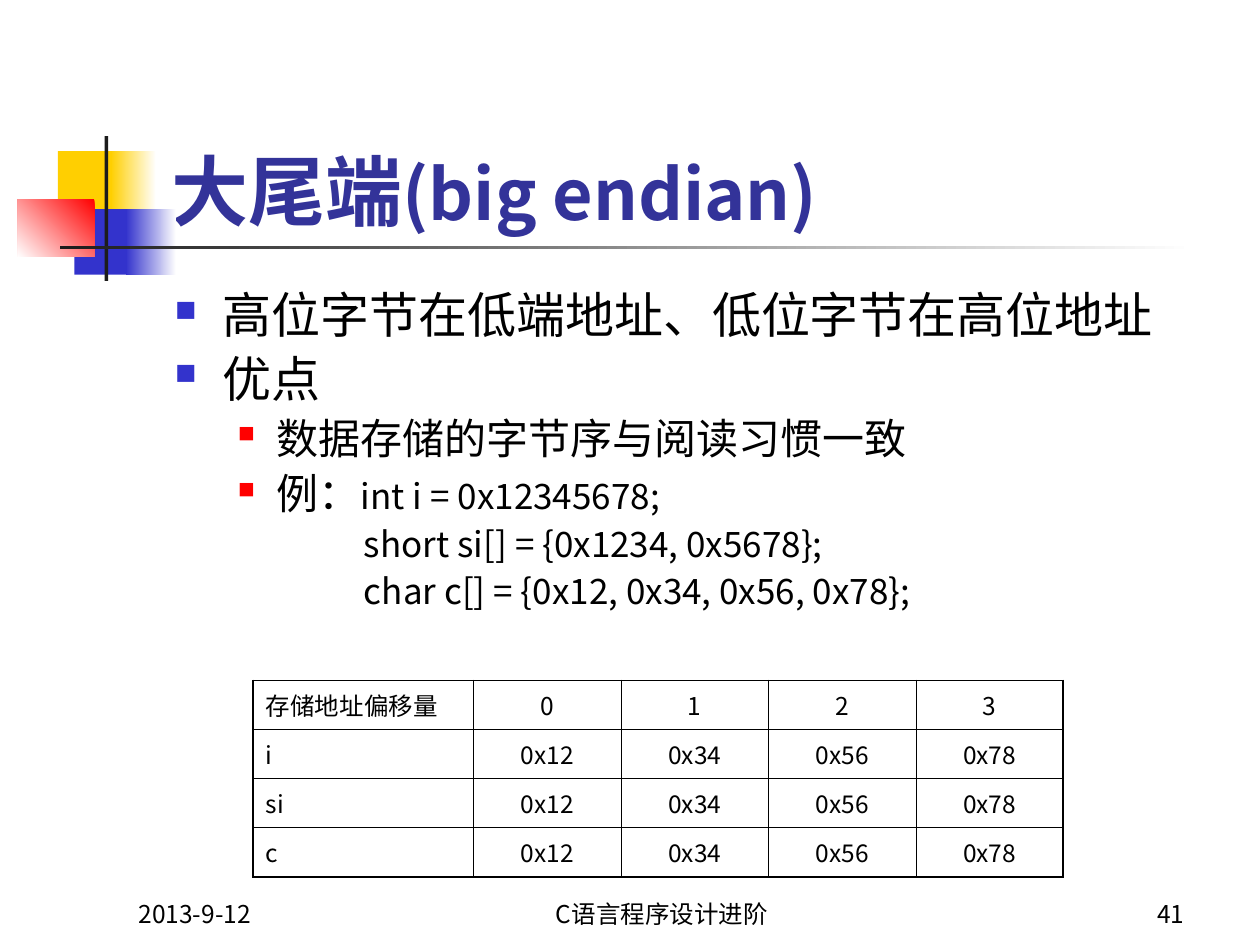
from lxml import etree
from pptx import Presentation
from pptx import util as u
from pptx.dml.color import RGBColor
from pptx.enum import shapes, text
from pptx.oxml import ns

FONT = "Noto Sans CJK SC"
COLORS = {
    "white": "FFFFFF", "black": "000000", "title": "333399", "blue": "3333CC",
    "yellow": "FFCF01", "red": "FF0000", "ink": "1C1C1C",
}
DECORATIONS = [
    ((0.46, 1.2, 0.48, 0.52), ["yellow"], 0),
    ((0.88, 1.2, 0.36, 0.52), ["white", "yellow"], 180),
    ((0.59, 1.66, 0.46, 0.52), ["blue"], 0),
    ((1, 1.66, 0.4, 0.52), ["white", "blue"], 180),
    ((0.14, 1.58, 0.61, 0.46), ["red", "white"], 225),
    ((0.83, 1.08, 0.03, 1.15), ["ink"], 0),
    ((0.48, 1.95, 9, 0.03), ["white", "ink"], 180),
]
LEVELS = {
    0: {"margin": 0.38, "indent": -0.38, "bullet": ("blue", 60)},
    1: {"margin": 0.81, "indent": -0.31, "bullet": ("red", 55)},
    3: {"margin": 1.75, "indent": -0.25, "bullet": None},
}
BODY = [
    (0, [("高位字节在低端地址、低位字节在高位地址", 28)]),
    (0, [("优点", 28)]),
    (1, [("数据存储的字节序与阅读习惯一致", 24)]),
    (1, [("例：", 24), ("int i = 0x12345678;", 20)]),
    (3, [("short si[] = {0x1234, 0x5678};", 20)]),
    (3, [("char c[] = {0x12, 0x34, 0x56, 0x78};", 20)]),
]
BYTES = ["0x12", "0x34", "0x56", "0x78"]
TABLE = [["存储地址偏移量", "0", "1", "2", "3"]] + [[name] + BYTES for name in ("i", "si", "c")]
FOOTERS = [
    ((3.67, 6.92, 3.17, 0.5), "C语言程序设计进阶", text.PP_ALIGN.CENTER),
    ((7.42, 6.92, 2.08, 0.5), "41", text.PP_ALIGN.RIGHT),
    ((1, 6.92, 2.08, 0.5), "2013-9-12", text.PP_ALIGN.LEFT),
]


def color(name):
    return RGBColor.from_string(COLORS[name])


def inches(values):
    return [u.Inches(value) for value in values]


def set_attributes(target, values):
    for name, value in values.items():
        setattr(target, name, value)


def add_child(parent, tag, **attributes):
    return etree.SubElement(parent, ns.qn(tag), attributes)


def add_span(para, words, size, shade="black", bold=False):
    span = para.add_run()
    span.text = words
    set_attributes(span.font, {"size": u.Pt(size), "name": FONT, "bold": bold})
    span.font.color.rgb = color(shade)
    add_child(span.font._element, "a:ea", typeface=FONT)


def format_frame(frame, anchor):
    set_attributes(frame, {
        "word_wrap": True, "auto_size": text.MSO_AUTO_SIZE.NONE, "vertical_anchor": anchor,
    })


def add_decoration(page, place, shades, angle):
    box = page.shapes.add_shape(shapes.MSO_SHAPE.RECTANGLE, *inches(place))
    box.shadow.inherit = False
    box.line.fill.background()
    if len(shades) == 1:
        box.fill.solid()
        box.fill.fore_color.rgb = color(shades[0])
        return
    box.fill.gradient()
    box.fill.gradient_angle = angle
    for stop, shade in zip(box.fill.gradient_stops, shades):
        stop.color.rgb = color(shade)


def add_title(page):
    title = page.shapes.title
    left, top, width, height = inches((1.26, 0.67, 8.52, 1.25))
    set_attributes(title, {"left": left, "top": top, "width": width, "height": height})
    format_frame(title.text_frame, text.MSO_ANCHOR.BOTTOM)
    para = title.text_frame.paragraphs[0]
    set_attributes(para, {"alignment": text.PP_ALIGN.LEFT, "space_before": u.Pt(2.8)})
    add_span(para, "大尾端", 44, "title", True)
    add_span(para, "(big endian)", 40, "title", True)


def format_level(para, level):
    style = LEVELS[level]
    set_attributes(para, {"level": level, "space_before": u.Pt(2.8)})
    properties = para._p.get_or_add_pPr()
    properties.set("marL", str(u.Inches(style["margin"])))
    properties.set("indent", str(u.Inches(style["indent"])))
    if style["bullet"] is None:
        add_child(properties, "a:buNone")
        return
    shade, percent = style["bullet"]
    add_child(add_child(properties, "a:buClr"), "a:srgbClr", val=COLORS[shade])
    add_child(properties, "a:buSzPct", val=str(percent * 1000))
    add_child(properties, "a:buChar", char="■")


def add_body(page):
    frame = page.shapes.add_textbox(*inches((1.29, 2.21, 8.5, 4.69))).text_frame
    format_frame(frame, text.MSO_ANCHOR.TOP)
    for index, (level, spans) in enumerate(BODY):
        para = frame.add_paragraph() if index else frame.paragraphs[0]
        format_level(para, level)
        for words, size in spans:
            add_span(para, words, size)


def add_borders(cell, outer):
    properties = cell._tc.get_or_add_tcPr()
    for side in ("L", "R", "T", "B"):
        width = u.Pt(1.08 if side in outer else 0.45)
        line = add_child(properties, f"a:ln{side}", w=str(width))
        add_child(add_child(line, "a:solidFill"), "a:srgbClr", val=COLORS["black"])


def add_byte_table(page):
    last_row, last_column = len(TABLE) - 1, len(TABLE[0]) - 1
    grid = page.shapes.add_table(
        last_row + 1, last_column + 1, *inches((2.01, 5.4, 6.43, 1.56))).table
    for index, column in enumerate(grid.columns):
        column.width = u.Inches(1.17 if index else 1.75)
    for i, values in enumerate(TABLE):
        grid.rows[i].height = u.Inches(0.39)
        for j, value in enumerate(values):
            cell = grid.cell(i, j)
            edges = {"L": j == 0, "R": j == last_column, "T": i == 0, "B": i == last_row}
            add_borders(cell, [side for side, is_outer in edges.items() if is_outer])
            cell.fill.background()
            para = cell.text_frame.paragraphs[0]
            set_attributes(para, {
                "alignment": text.PP_ALIGN.CENTER if j else text.PP_ALIGN.LEFT,
                "space_before": u.Pt(3.5),
            })
            add_span(para, value, 14)


def add_footer(page, place, words, alignment):
    frame = page.shapes.add_textbox(*inches(place)).text_frame
    format_frame(frame, text.MSO_ANCHOR.BOTTOM)
    para = frame.paragraphs[0]
    para.alignment = alignment
    add_span(para, words, 14)


def main():
    deck = Presentation()
    set_attributes(deck, {"slide_width": u.Inches(10), "slide_height": u.Inches(7.5)})
    page = deck.slides.add_slide(deck.slide_layouts.get_by_name("Title Only"))
    for decoration in DECORATIONS:
        add_decoration(page, *decoration)
    add_title(page)
    add_body(page)
    add_byte_table(page)
    for footer in FOOTERS:
        add_footer(page, *footer)
    deck.save("out.pptx")


if __name__ == "__main__":
    main()
